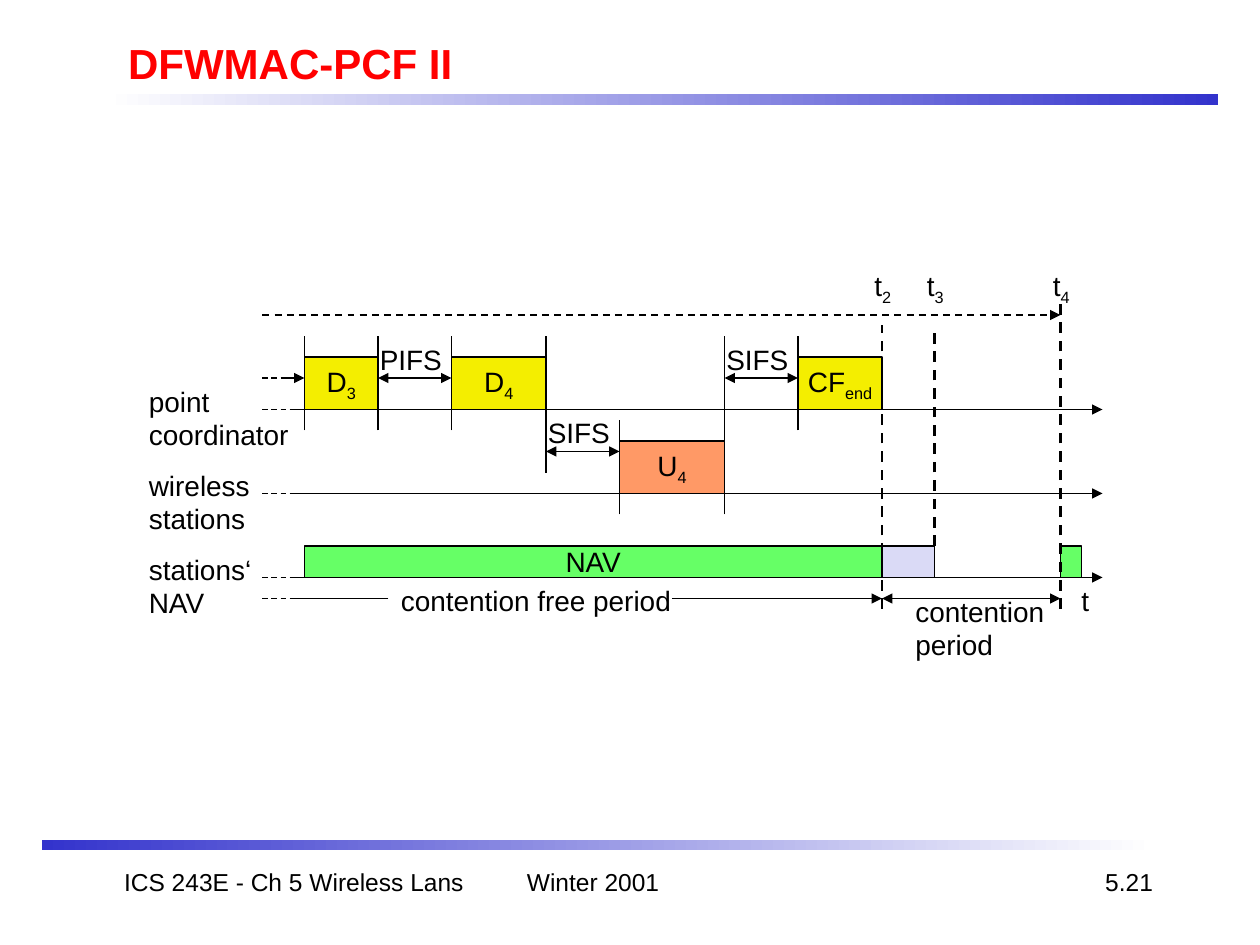
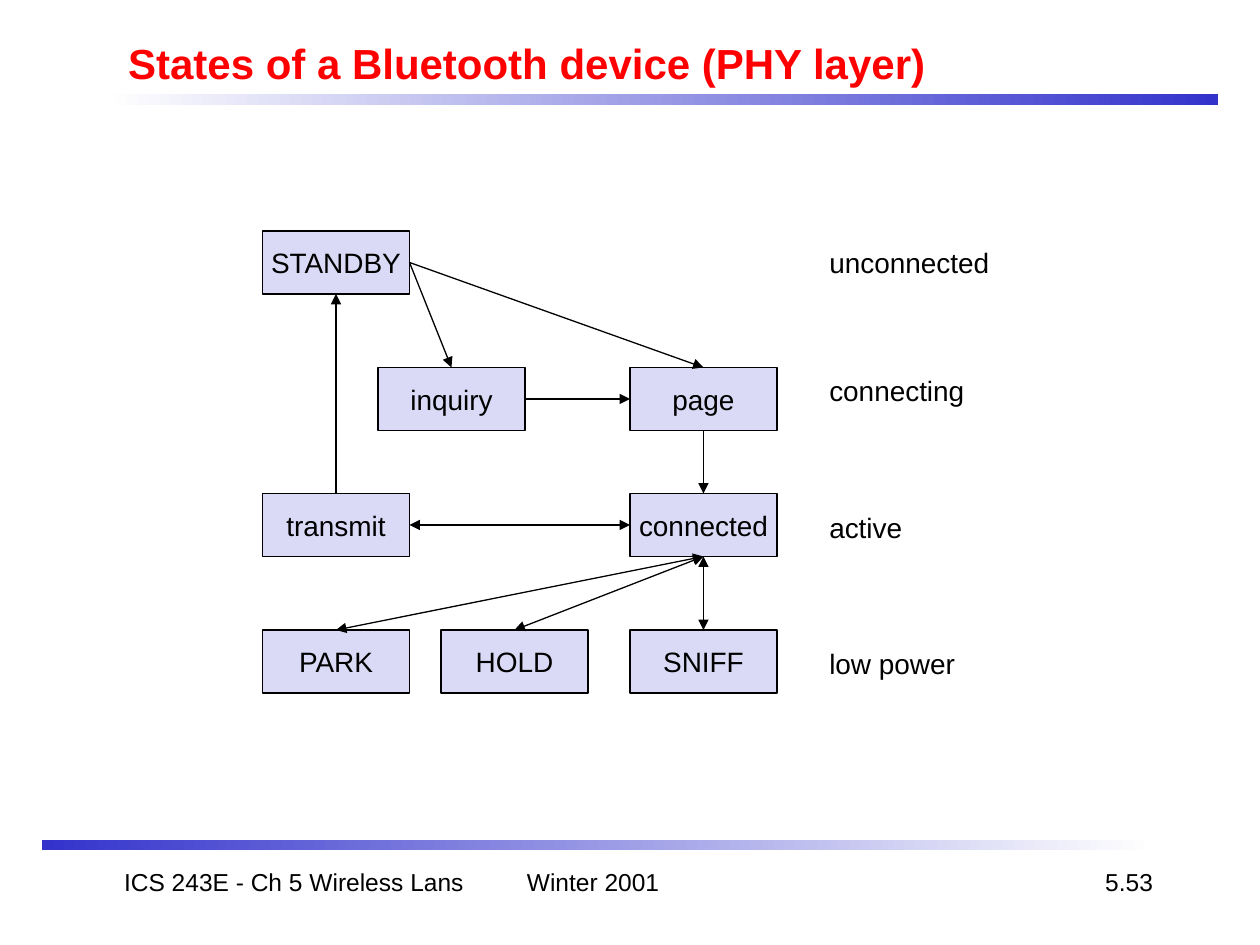
import lxml.etree
import pptx
import pptx.util
import pptx.dml.color
import pptx.enum.dml
import pptx.enum.shapes
import pptx.enum.text
import pptx.oxml.ns

PX = 7620
FONT = "Arial"
COLOURS = {
    "text": "000000",
    "title": "FF0000",
    "band": "3333CC",
    "paper": "FFFFFF",
    "coordinator": "F4EE00",
    "station": "FF9966",
    "nav": "66FF66",
    "pale": "DADAF6",
}
RGB = {name: pptx.dml.color.RGBColor.from_string(code) for name, code in COLOURS.items()}
ALIGN = pptx.enum.text.PP_ALIGN
ANCHOR = pptx.enum.text.MSO_ANCHOR
FIT = pptx.enum.text.MSO_AUTO_SIZE
RECTANGLE = pptx.enum.shapes.MSO_SHAPE.RECTANGLE
STRAIGHT = pptx.enum.shapes.MSO_CONNECTOR.STRAIGHT


def add_box(page, left, top, width, height, text="", fill=None, size=16, align=ALIGN.LEFT):
    place = [length * PX for length in (left, top, width, height)]
    if fill:
        box = page.shapes.add_shape(RECTANGLE, *place)
        box.shadow.inherit = False
        box.fill.solid()
        box.fill.fore_color.rgb = RGB[fill]
        box.line.color.rgb = RGB["text"]
        box.line.width = pptx.util.Pt(0.75)
        align = ALIGN.CENTER
    else:
        box = page.shapes.add_textbox(*place)
    frame = box.text_frame
    frame.word_wrap = not fill
    frame.auto_size = FIT.NONE
    frame.vertical_anchor = ANCHOR.MIDDLE if fill else ANCHOR.TOP
    for number, words in enumerate(text.split("\n") if text else []):
        para = frame.add_paragraph() if number else frame.paragraphs[0]
        para.alignment = align
        para.font.name = FONT
        para.font.size = pptx.util.Pt(size)
        para.font.color.rgb = RGB["text"]
        base, _, subscript = words.partition("_")
        para.add_run().text = base
        if subscript:
            span = para.add_run()
            span.text = subscript
            span._r.get_or_add_rPr().set("baseline", "-25000")
    return box


def add_line(page, x1, y1, x2, y2, arrows="", dashed=False, weight=0.75):
    line = page.shapes.add_connector(STRAIGHT, x1 * PX, y1 * PX, x2 * PX, y2 * PX)
    line.line.color.rgb = RGB["text"]
    line.line.width = pptx.util.Pt(weight)
    if dashed:
        line.line.dash_style = pptx.enum.dml.MSO_LINE.DASH
    outline = line.line._get_or_add_ln()
    for end in arrows.split():
        lxml.etree.SubElement(outline, pptx.oxml.ns.qn(f"a:{end}End"), type="triangle")
    lxml.etree.SubElement(line._element.spPr, pptx.oxml.ns.qn("a:effectLst"))
    return line


deck = pptx.Presentation()
deck.slide_width = 1200 * PX
deck.slide_height = 900 * PX

pages = []
for title_text, page_number in [
    ("DFWMAC-PCF II", "5.21"),
    ("States of a Bluetooth device (PHY layer)", "5.53"),
]:
    page = deck.slides.add_slide(deck.slide_layouts[5])
    pages.append(page)
    for left, top, start, stop in [(100, 90, "paper", "band"), (40, 800, "band", "paper")]:
        band = page.shapes.add_shape(RECTANGLE, left * PX, top * PX, 1060 * PX, 10 * PX)
        band.shadow.inherit = False
        band.line.fill.background()
        band.fill.gradient()
        band.fill.gradient_angle = 0
        for gradient_stop, colour in zip(band.fill.gradient_stops, (start, stop)):
            gradient_stop.color.rgb = RGB[colour]
    for left, width, text, align in [
        (490, 250, "Winter 2001", ALIGN.LEFT),
        (90, 380, "ICS 243E - Ch 5 Wireless Lans", ALIGN.CENTER),
        (860, 250, page_number, ALIGN.RIGHT),
    ]:
        add_box(page, left, 820, width, 60, text, size=14, align=align)
    title = page.shapes.title
    title.left, title.top, title.width, title.height = 110 * PX, 30 * PX, 1020 * PX, 60 * PX
    title.text_frame.text = title_text
    title.text_frame.auto_size = FIT.NONE
    title.text_frame.vertical_anchor = ANCHOR.MIDDLE
    para = title.text_frame.paragraphs[0]
    para.alignment = ALIGN.LEFT
    para.font.name = FONT
    para.font.size = pptx.util.Pt(24)
    para.font.bold = True
    para.font.color.rgb = RGB["title"]

timing, states = pages

for left, top, width, height, text, fill in [
    (290, 340, 70, 50, "D_3", "coordinator"),
    (430, 340, 90, 50, "D_4", "coordinator"),
    (760, 340, 80, 50, "CF_end", "coordinator"),
    (590, 420, 100, 50, "U_4", "station"),
    (290, 520, 550, 30, "NAV", "nav"),
    (840, 520, 50, 30, "", "pale"),
    (1010, 520, 20, 30, "", "nav"),
]:
    add_box(timing, left, top, width, height, text, fill)

for axis_y in (390, 470, 550):
    add_line(timing, 280, axis_y, 1050, axis_y, "tail")
for lead_in_y in (360, 390, 470, 550, 570):
    add_line(timing, 250, lead_in_y, 280, lead_in_y, dashed=True)
for x, top, bottom in [
    (290, 320, 410),
    (360, 320, 410),
    (430, 320, 410),
    (520, 320, 450),
    (590, 400, 490),
    (690, 320, 490),
    (760, 320, 410),
]:
    add_line(timing, x, bottom, x, top)
for start, stop, y, arrows in [
    (270, 290, 360, "tail"),
    (360, 430, 360, "head tail"),
    (520, 590, 430, "head tail"),
    (690, 760, 360, "head tail"),
    (840, 1010, 570, "head tail"),
    (640, 840, 570, "tail"),
    (370, 280, 570, ""),
]:
    add_line(timing, start, y, stop, y, arrows)
add_line(timing, 250, 300, 1010, 300, "tail", dashed=True, weight=1)

for instant, x, top, bottom in [
    ("t_2", 840, 310, 580),
    ("t_3", 890, 310, 520),
    ("t_4", 1010, 290, 580),
]:
    add_line(timing, x, bottom, x, top, dashed=True, weight=1.5)
    add_box(timing, x - 19, 250, 50, 49, instant)

for left, top, width, height, text in [
    (130, 360, 170, 77, "point\ncoordinator"),
    (130, 440, 130, 77, "wireless\nstations"),
    (130, 520, 130, 77, "stations‘\nNAV"),
    (350, 320, 95, 44, "PIFS"),
    (510, 390, 95, 44, "SIFS"),
    (680, 320, 95, 44, "SIFS"),
    (370, 550, 295, 44, "contention free period"),
    (860, 560, 160, 77, "contention\nperiod"),
    (1018, 550, 40, 44, "t"),
]:
    add_box(timing, left, top, width, height, text)

state_boxes = {}
for name, left, top in [
    ("STANDBY", 250, 220),
    ("inquiry", 360, 350),
    ("page", 600, 350),
    ("connected", 600, 470),
    ("transmit", 250, 470),
    ("PARK", 250, 600),
    ("HOLD", 420, 600),
    ("SNIFF", 600, 600),
]:
    state_boxes[name] = add_box(states, left, top, 140, 60, name, "pale")

for text, top in [
    ("unconnected", 228),
    ("connecting", 350),
    ("active", 480),
    ("low power", 610),
]:
    add_box(states, 778, top, 190, 44, text)

TOP, LEFT, BOTTOM, RIGHT = range(4)
for source, source_side, target, target_side, arrows in [
    ("STANDBY", RIGHT, "page", TOP, "tail"),
    ("STANDBY", RIGHT, "inquiry", TOP, "tail"),
    ("inquiry", RIGHT, "page", LEFT, "tail"),
    ("page", BOTTOM, "connected", TOP, "tail"),
    ("transmit", TOP, "STANDBY", BOTTOM, "tail"),
    ("PARK", TOP, "connected", BOTTOM, "head tail"),
    ("HOLD", TOP, "connected", BOTTOM, "head tail"),
    ("SNIFF", TOP, "connected", BOTTOM, "head tail"),
    ("transmit", RIGHT, "connected", LEFT, "head tail"),
]:
    transition = add_line(states, 0, 0, 0, 0, arrows)
    transition.begin_connect(state_boxes[source], source_side)
    transition.end_connect(state_boxes[target], target_side)

deck.save("out.pptx")
